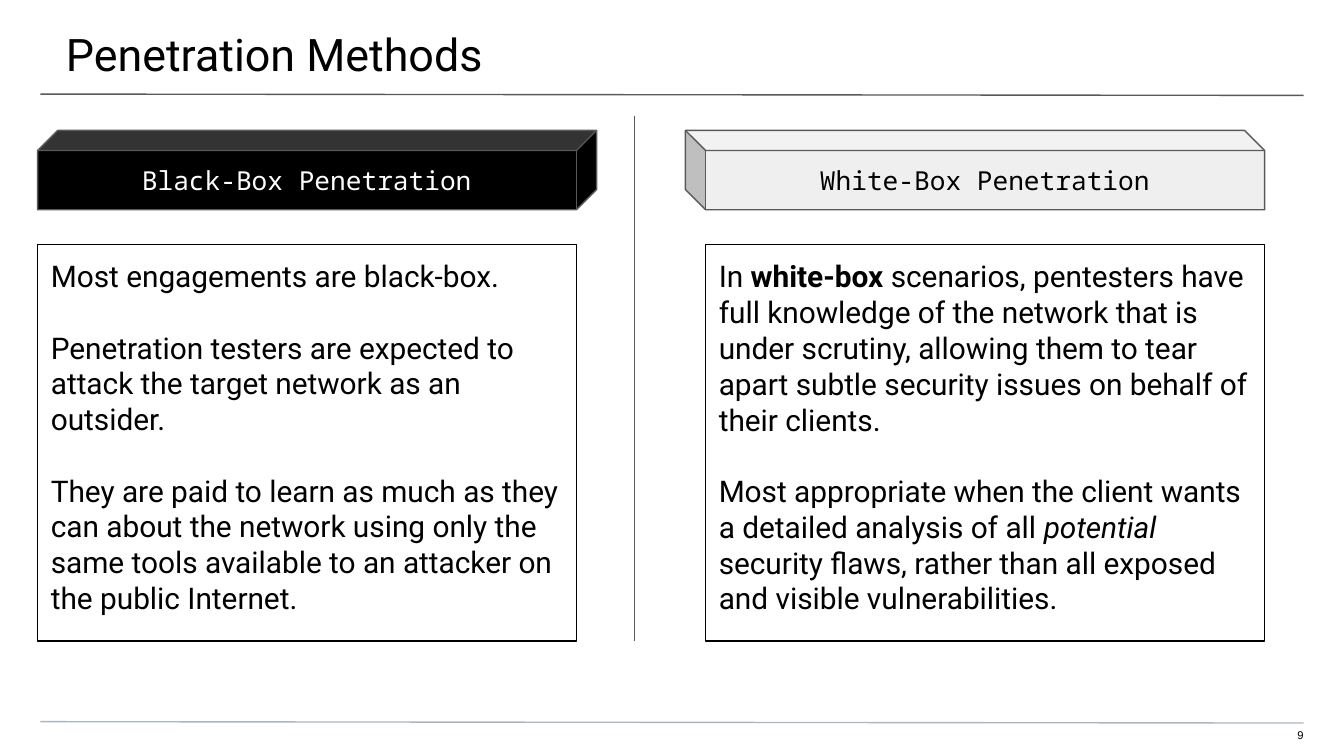
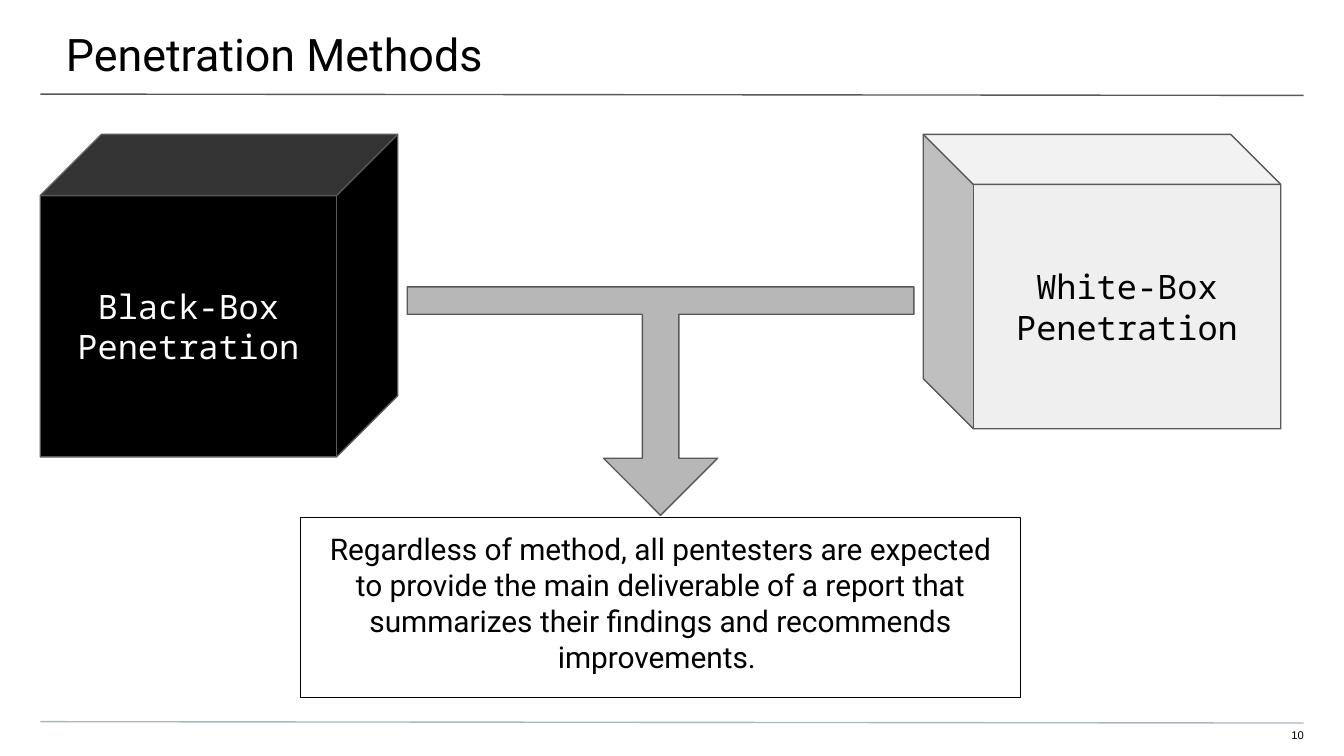
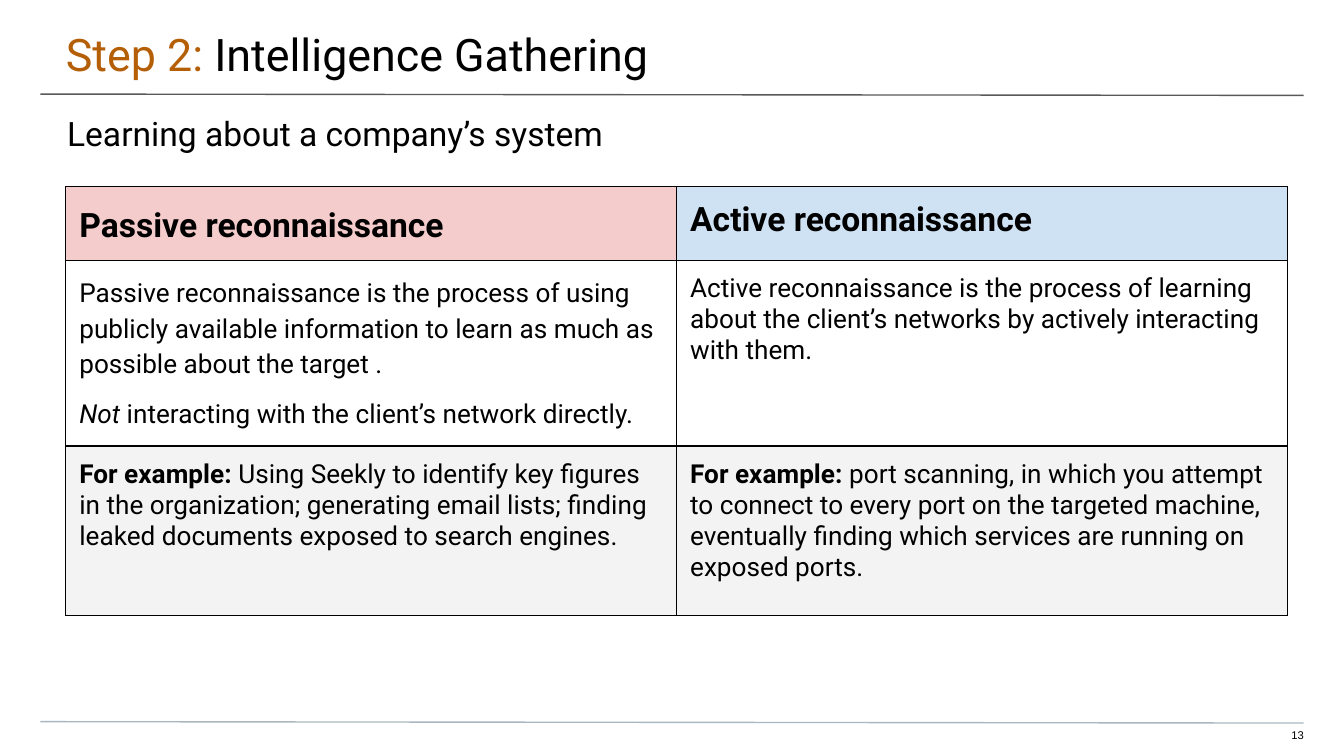
from dataclasses import dataclass

from lxml.etree import SubElement
from pptx import Presentation
from pptx.dml.color import RGBColor
from pptx.enum.shapes import MSO_CONNECTOR, MSO_SHAPE
from pptx.enum.text import MSO_ANCHOR, PP_ALIGN
from pptx.oxml.ns import qn
from pptx.util import Inches, Pt

# The slide is a grid of square cells, 100 columns wide.
COLUMNS, ROWS = 100, 56.25
CELL = Inches(10) / COLUMNS

BLACK, WHITE, GREY = "000000", "FFFFFF", "595959"
PALE, ARROW_GREY, FOOTER_RULE = "EFEFEF", "B7B7B7", "A9B7C0"
STEP_ORANGE = "B45F06"
SANS, MONO, PLAIN = "Roboto", "Noto Sans Mono", "Arial"
HAIRLINE = Pt(0.75)
SIDES = ("left", "top", "right", "bottom")
INSETS = (1, 1, 1, 1)
BOLD, ITALIC = {"bold": True}, {"italic": True}


def cells(count):
    return round(count * CELL)


def color(hex_value):
    return RGBColor.from_string(hex_value)


@dataclass
class Box:
    """A region measured in grid cells."""
    left: float
    top: float
    width: float
    height: float

    def area(self, left, top, width, height):
        return Box(self.left + left, self.top + top, width, height)

    def centered(self, top, width, height):
        return self.area((self.width - width) / 2, top, width, height)

    def emu(self):
        return [cells(n) for n in (self.left, self.top, self.width, self.height)]


SLIDE = Box(0, 0, COLUMNS, ROWS)


def style_font(font, size, name=SANS, ink=BLACK, bold=False, italic=False):
    looks = {"size": Pt(size), "name": name, "bold": bold, "italic": italic}
    for attribute, value in looks.items():
        setattr(font, attribute, value)
    font.color.rgb = color(ink)


def set_margins(target, insets):
    for side, inset in zip(SIDES, insets):
        setattr(target, f"margin_{side}", cells(inset))


def write(frame, paragraphs, size, layout=None, gap=0, **look):
    """Fill a frame; a paragraph is a list of runs, a run is text or (text, look)."""
    for index, runs in enumerate(paragraphs):
        paragraph = frame.paragraphs[0] if index == 0 else frame.add_paragraph()
        for attribute, value in {"alignment": PP_ALIGN.LEFT, **(layout or {})}.items():
            setattr(paragraph, attribute, value)
        if index:
            paragraph.space_before = Pt(gap)
        for entry in runs:
            text, extra = (entry, {}) if isinstance(entry, str) else entry
            run = paragraph.add_run()
            run.text = text
            style_font(run.font, size, **{**look, **extra})


def write_in_shape(shape, paragraphs, size, insets=INSETS,
                   anchor=MSO_ANCHOR.TOP, **options):
    frame = shape.text_frame
    frame.word_wrap = True
    frame.vertical_anchor = anchor
    set_margins(frame, insets)
    write(frame, paragraphs, size, **options)


def add_text(slide, box, paragraphs, size, **options):
    write_in_shape(slide.shapes.add_textbox(*box.emu()), paragraphs, size, **options)


def add_rule(slide, start, end, ink=GREY):
    rule = slide.shapes.add_connector(
        MSO_CONNECTOR.STRAIGHT, *(cells(n) for n in (*start, *end)))
    rule.line.color.rgb = color(ink)
    rule.line.width = HAIRLINE
    SubElement(rule._element.spPr, qn("a:effectLst"))


def add_figure(slide, preset, box, fill=None, outline=GREY, adjustments=()):
    figure = slide.shapes.add_shape(preset, *box.emu())
    figure.shadow.inherit = False
    for index, value in enumerate(adjustments):
        figure.adjustments[index] = value
    if fill:
        figure.fill.solid()
        figure.fill.fore_color.rgb = color(fill)
    else:
        figure.fill.background()
    figure.line.color.rgb = color(outline)
    figure.line.width = HAIRLINE
    return figure


def add_method_cube(slide, box, method, size, depth):
    cube = add_figure(slide, MSO_SHAPE.CUBE, box, method["fill"], adjustments=[depth])
    if method["mirrored"]:
        cube._element.spPr.get_or_add_xfrm().set("flipH", "1")
    write_in_shape(cube, [[method["name"]]], size, anchor=MSO_ANCHOR.MIDDLE,
                   layout={"alignment": PP_ALIGN.CENTER}, name=MONO, ink=method["ink"])


def add_note(slide, box, paragraphs, alignment=PP_ALIGN.LEFT):
    note = add_figure(slide, MSO_SHAPE.RECTANGLE, box, outline=BLACK)
    write_in_shape(note, paragraphs, 16, layout={"alignment": alignment}, gap=19)


def add_base_slide(deck, title_runs, number):
    """Add a slide with its title, both rules and its page number."""
    slide = deck.slides.add_slide(deck.slide_layouts[5])
    title = slide.shapes.title
    title.left, title.top, title.width, title.height = SLIDE.area(0, 0, 100, 5.8).emu()
    write_in_shape(title, [title_runs], 24, insets=(4.9, 2, 3, 1))
    add_rule(slide, (3, 7), (97, 7.1))
    add_rule(slide, (3, 53.7), (97, 53.8), FOOTER_RULE)
    add_text(slide, SLIDE.area(94.1, 54.2, 2.9, 1.2), [[str(number)]], 6,
             layout={"alignment": PP_ALIGN.RIGHT}, insets=(0, 0, 0, 1), name=PLAIN)
    return slide


BLACK_BOX = {"name": "Black-Box Penetration", "fill": BLACK, "ink": WHITE,
             "mirrored": False}
WHITE_BOX = {"name": "White-Box Penetration", "fill": PALE, "ink": BLACK,
             "mirrored": True}
BLACK_BOX_NOTES = [
    ["Most engagements are black-box."],
    ["Penetration testers are expected to attack the target network as an outsider."],
    ["They are paid to learn as much as they can about the network using only the "
     "same tools available to an attacker on the public Internet."],
]
WHITE_BOX_NOTES = [
    ["In ", ("white-box", BOLD),
     " scenarios, pentesters have full knowledge of the network that is under "
     "scrutiny, allowing them to tear apart subtle security issues on behalf of "
     "their clients."],
    ["Most appropriate when the client wants a detailed analysis of all ",
     ("potential", ITALIC),
     " security flaws, rather than all exposed and visible vulnerabilities."],
]
DELIVERABLE = ("Regardless of method, all pentesters are expected to provide the main "
               "deliverable of a report that summarizes their findings and recommends "
               "improvements. ")


def add_method_column(slide, box, method, notes):
    """Put a flat cube over a note as wide as the cube's front face."""
    cube_height, depth, note_top = 5.9, 1.5, 8.5
    add_method_cube(slide, box.area(0, 0, box.width, cube_height), method, 14,
                    depth / cube_height)
    note_left = depth if method["mirrored"] else 0
    add_note(slide, box.area(note_left, note_top, box.width - depth,
                             box.height - note_top), notes)


def build_comparison(deck):
    slide = add_base_slide(deck, ["Penetration Methods"], 9)
    body = SLIDE.area(2.8, 9.7, 91.3, 38)
    add_rule(slide, (47.2, 8.6), (47.2, 47.7))
    add_method_column(slide, body.area(0, 0, 41.6, body.height),
                      BLACK_BOX, BLACK_BOX_NOTES)
    add_method_column(slide, body.area(48.2, 0, 43.1, body.height),
                      WHITE_BOX, WHITE_BOX_NOTES)


def build_deliverable(deck):
    slide = add_base_slide(deck, ["Penetration Methods"], 10)
    body = SLIDE.area(3, 10, 92.3, 41.9)
    cube_width, note_height = 26.6, 13.4
    add_method_cube(slide, body.area(0, 0, cube_width, 24), BLACK_BOX, 18, 0.19)
    add_method_cube(slide, body.area(body.width - cube_width, 0, cube_width, 21.9),
                    WHITE_BOX, 18, 0.17)
    arrow = add_figure(slide, MSO_SHAPE.RIGHT_ARROW_CALLOUT,
                       body.centered(1, 17, 37.7), ARROW_GREY,
                       adjustments=(0.16, 0.25, 0.25, 0.12))
    arrow.rotation = 90
    add_note(slide, body.centered(body.height - note_height, 53.6, note_height),
             [[DELIVERABLE]], PP_ALIGN.CENTER)


PASSIVE = [
    ["Passive reconnaissance is the process of using publicly available information "
     "to learn as much as possible about the target ."],
    [("Not ", ITALIC), "interacting with the client’s network directly."],
]
ACTIVE = [["Active reconnaissance is the process of learning about the client’s "
           "networks by actively interacting with them."]]
PASSIVE_EXAMPLE = [[
    ("For example: ", BOLD),
    "Using Seekly to identify key figures in the organization; generating email "
    "lists; finding leaked documents exposed to search engines."]]
ACTIVE_EXAMPLE = [[
    ("For example: ", BOLD),
    "port scanning, in which you attempt to connect to every port on the targeted "
    "machine, eventually finding which services are running on exposed ports."]]
# Each row: height, text size, bold, then (paragraphs, fill, line spacing) per cell.
RECONNAISSANCE = [
    (5.4, 18, True, [([["Passive reconnaissance"]], "F4CCCC", 1.15),
                     ([["Active reconnaissance"]], "CFE2F3", 1.0)]),
    (13.6, 14, False, [(PASSIVE, WHITE, 1.15), (ACTIVE, WHITE, 1.0)]),
    (12.6, 14, False, [(PASSIVE_EXAMPLE, "F3F3F3", 1.0),
                       (ACTIVE_EXAMPLE, "F3F3F3", 1.0)]),
]


def outline_cell(cell):
    properties = cell._tc.get_or_add_tcPr()
    for position, side in enumerate(("lnL", "lnR", "lnT", "lnB")):
        border = SubElement(properties, qn(f"a:{side}"), w=str(HAIRLINE))
        SubElement(SubElement(border, qn("a:solidFill")), qn("a:srgbClr"), val=BLACK)
        properties.insert(position, border)


def add_reconnaissance_table(slide, box):
    table = slide.shapes.add_table(len(RECONNAISSANCE), 2, *box.emu()).table
    for column in table.columns:
        column.width = cells(box.width / 2)
    for row_index, (height, size, bold, entries) in enumerate(RECONNAISSANCE):
        table.rows[row_index].height = cells(height)
        for column_index, (paragraphs, fill, spacing) in enumerate(entries):
            cell = table.cell(row_index, column_index)
            cell.fill.solid()
            cell.fill.fore_color.rgb = color(fill)
            outline_cell(cell)
            set_margins(cell, INSETS)
            write(cell.text_frame, paragraphs, size, {"line_spacing": spacing},
                  gap=8, bold=bold)
            cell.text_frame.paragraphs[-1].space_after = Pt(8)


def build_intelligence(deck):
    slide = add_base_slide(
        deck, [("Step 2:", {"ink": STEP_ORANGE}), " Intelligence Gathering"], 13)
    add_text(slide, SLIDE.area(0, 7.4, COLUMNS, 4),
             [["Learning about a company’s system"]], 18, insets=(5, 1, 5, 0))
    table_height = sum(row[0] for row in RECONNAISSANCE)
    add_reconnaissance_table(slide, SLIDE.area(4.9, 13.9, 90.9, table_height))


def main():
    deck = Presentation()
    deck.slide_width, deck.slide_height = cells(COLUMNS), cells(ROWS)
    for build in (build_comparison, build_deliverable, build_intelligence):
        build(deck)
    deck.save("out.pptx")


if __name__ == "__main__":
    main()
